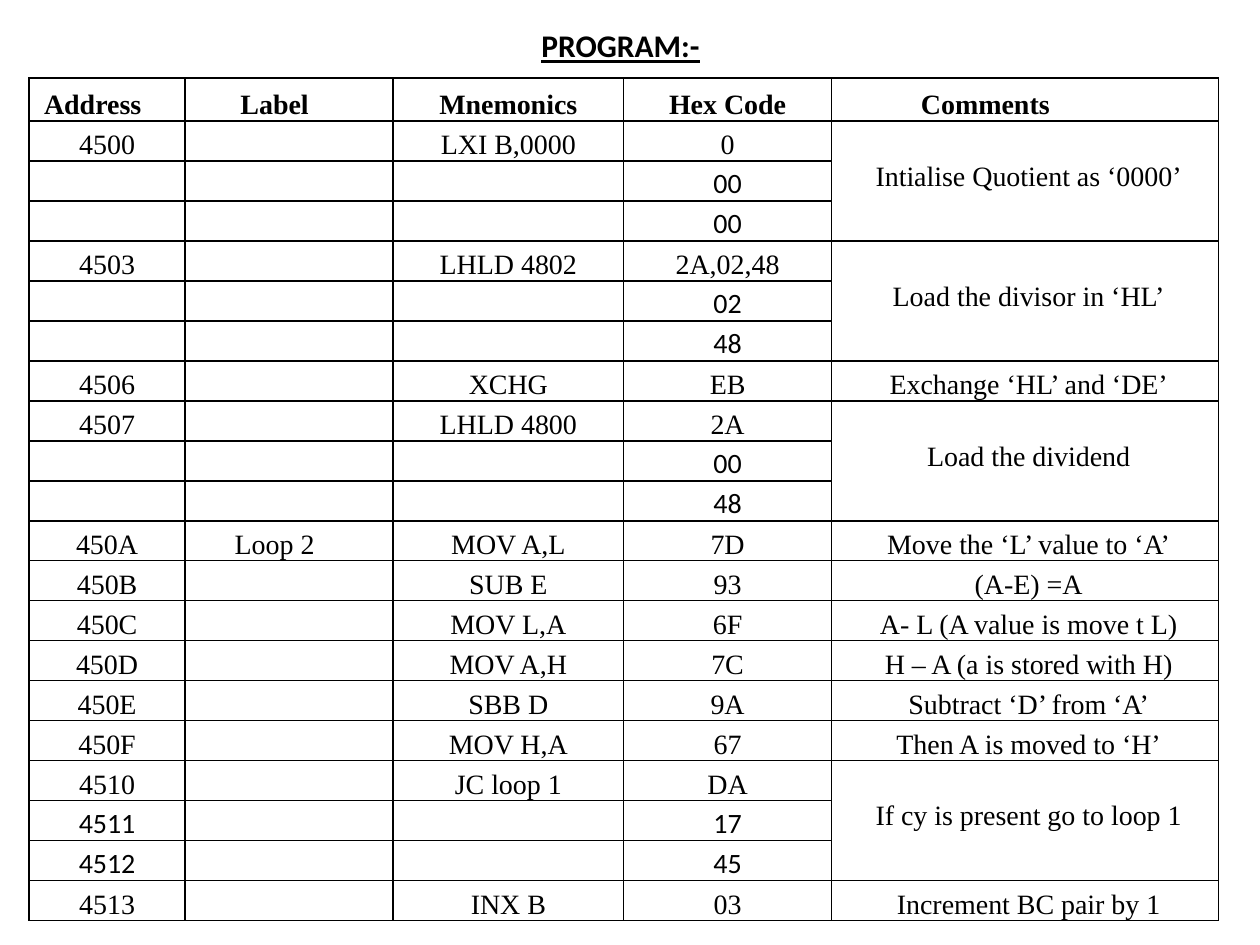
from lxml import etree
from pptx import Presentation
from pptx.dml.color import RGBColor
from pptx.enum.text import MSO_ANCHOR, PP_ALIGN
from pptx.oxml.ns import qn
from pptx.util import Inches, Pt

LEFT, CENTER = PP_ALIGN.LEFT, PP_ALIGN.CENTER
BOTTOM, MIDDLE = MSO_ANCHOR.BOTTOM, MSO_ANCHOR.MIDDLE
BLACK = "000000"
SERIF, SANS = "Times New Roman", "Calibri"
NO_STYLE = "{2D5ABB26-0587-4C30-8999-92F81FD0307C}"

COL_WIDTHS = [1.24, 1.3, 0.35, 1.83, 1.65, 0.18, 2.89]
HEADER_H, ROW_H = 0.34, 6.35 / 20
ADDRESS, LABEL, MNEMONIC, HEX, COMMENT, COMMENT_END = 0, 1, 3, 4, 5, 6

HEADERS = [  # column, text, alignment, indent
    (ADDRESS, "Address", LEFT, 0.12),
    (LABEL, "Label", CENTER, 0.12),
    (MNEMONIC, "Mnemonics", CENTER, 0),
    (HEX, "Hex Code", CENTER, 0),
    (COMMENT_END, "Comments", LEFT, 0.53),
]
# address, label, mnemonic, hex code, comment; no mnemonic means an operand byte
PROGRAM = [
    ("4500", "", "LXI B,0000", "0", "Intialise Quotient as ‘0000’"),
    ("", "", "", "00", ""),
    ("", "", "", "00", ""),
    ("4503", "", "LHLD 4802", "2A,02,48", "Load the divisor in ‘HL’"),
    ("", "", "", "02", ""),
    ("", "", "", "48", ""),
    ("4506", "", "XCHG", "EB", "Exchange ‘HL’ and ‘DE’"),
    ("4507", "", "LHLD 4800", "2A", "Load the dividend"),
    ("", "", "", "00", ""),
    ("", "", "", "48", ""),
    ("450A", "Loop 2", "MOV A,L", "7D", "Move the ‘L’ value to ‘A’"),
    ("450B", "", "SUB E", "93", "(A-E) =A"),
    ("450C", "", "MOV L,A", "6F", "A- L (A value is move t L)"),
    ("450D", "", "MOV A,H", "7C", "H – A (a is stored with H)"),
    ("450E", "", "SBB D", "9A", "Subtract ‘D’ from ‘A’"),
    ("450F", "", "MOV H,A", "67", "Then A is moved to ‘H’"),
    ("4510", "", "JC loop 1", "DA", "If cy is present go to loop 1"),
    ("4511", "", "", "17", ""),
    ("4512", "", "", "45", ""),
    ("4513", "", "INX B", "03", "Increment BC pair by 1"),
]
COLUMNS = [(ADDRESS, 0), (LABEL, 0.12), (MNEMONIC, 0), (HEX, 0), (COMMENT, 0.06)]


def write(p, text, font, size, align=CENTER, indent=0, bold=False):
    p.text = text
    p.alignment = align
    if indent:
        p._p.get_or_add_pPr().set("marL", str(Inches(indent)))
    r = p.runs[0]
    r.font.name, r.font.size, r.font.bold = font, Pt(size), bold
    r.font.color.rgb = RGBColor.from_string(BLACK)


def add_borders(cell, open_side):
    """Draw a 1 pt line on every side of the cell except open_side."""
    tc_pr = cell._tc.get_or_add_tcPr()
    for side in ("lnL", "lnR", "lnT", "lnB"):
        ln = etree.SubElement(tc_pr, qn("a:" + side), w=str(Pt(1)))
        if side == open_side:
            etree.SubElement(ln, qn("a:noFill"))
        else:
            fill = etree.SubElement(ln, qn("a:solidFill"))
            etree.SubElement(fill, qn("a:srgbClr"), val=BLACK)


prs = Presentation()
prs.slide_width, prs.slide_height = Inches(10), Inches(7.5)
s = prs.slides.add_slide(prs.slide_layouts[5])

# Title
title = s.shapes.title
title.left, title.top = Inches(3.83), Inches(0.16)
title.width, title.height = Inches(2.19), Inches(0.4)
tf = title.text_frame
tf.vertical_anchor = MSO_ANCHOR.TOP
write(tf.paragraphs[0], "PROGRAM:-", SANS, 18, bold=True)
tf.paragraphs[0].runs[0].font.underline = True

# Empty ruled table
frame = s.shapes.add_table(len(PROGRAM) + 1, len(COL_WIDTHS), Inches(0.23), Inches(0.62),
                           Inches(sum(COL_WIDTHS)), Inches(HEADER_H + ROW_H * len(PROGRAM)))
table = frame.table
table.first_row = table.horz_banding = False
frame._element.find(".//" + qn("a:tableStyleId")).text = NO_STYLE
for col, width in zip(table.columns, COL_WIDTHS):
    col.width = Inches(width)
for i, row in enumerate(table.rows):
    row.height = Inches(ROW_H if i else HEADER_H)
    for j, cell in enumerate(row.cells):
        open_side = {LABEL: "lnR", LABEL + 1: "lnL"}.get(j)
        if i == 0 and j >= COMMENT:
            open_side = "lnR" if j == COMMENT else "lnL"
        add_borders(cell, open_side)
        cell.fill.background()
        cell.margin_left = cell.margin_right = cell.margin_top = cell.margin_bottom = 0
        cell.vertical_anchor = BOTTOM
        cell.text_frame.paragraphs[0].line_spacing = Pt(13)

# Header row
for j, text, align, indent in HEADERS:
    p = table.cell(0, j).text_frame.paragraphs[0]
    write(p, text, SERIF, 16, align, indent, bold=True)
    p.line_spacing = 1.15

# Program rows
for i, record in enumerate(PROGRAM, start=1):
    is_operand = not record[2]
    for (j, indent), text in zip(COLUMNS, record):
        if text:
            p = table.cell(i, j).text_frame.paragraphs[0]
            write(p, text, SANS if is_operand else SERIF, 16, indent=indent)
    if not is_operand:
        last = i
        while last < len(PROGRAM) and not PROGRAM[last][2]:
            last += 1
        cell = table.cell(i, COMMENT)
        cell.merge(table.cell(last, COMMENT_END))
        cell.vertical_anchor = MIDDLE if last > i else BOTTOM

prs.save("out.pptx")
